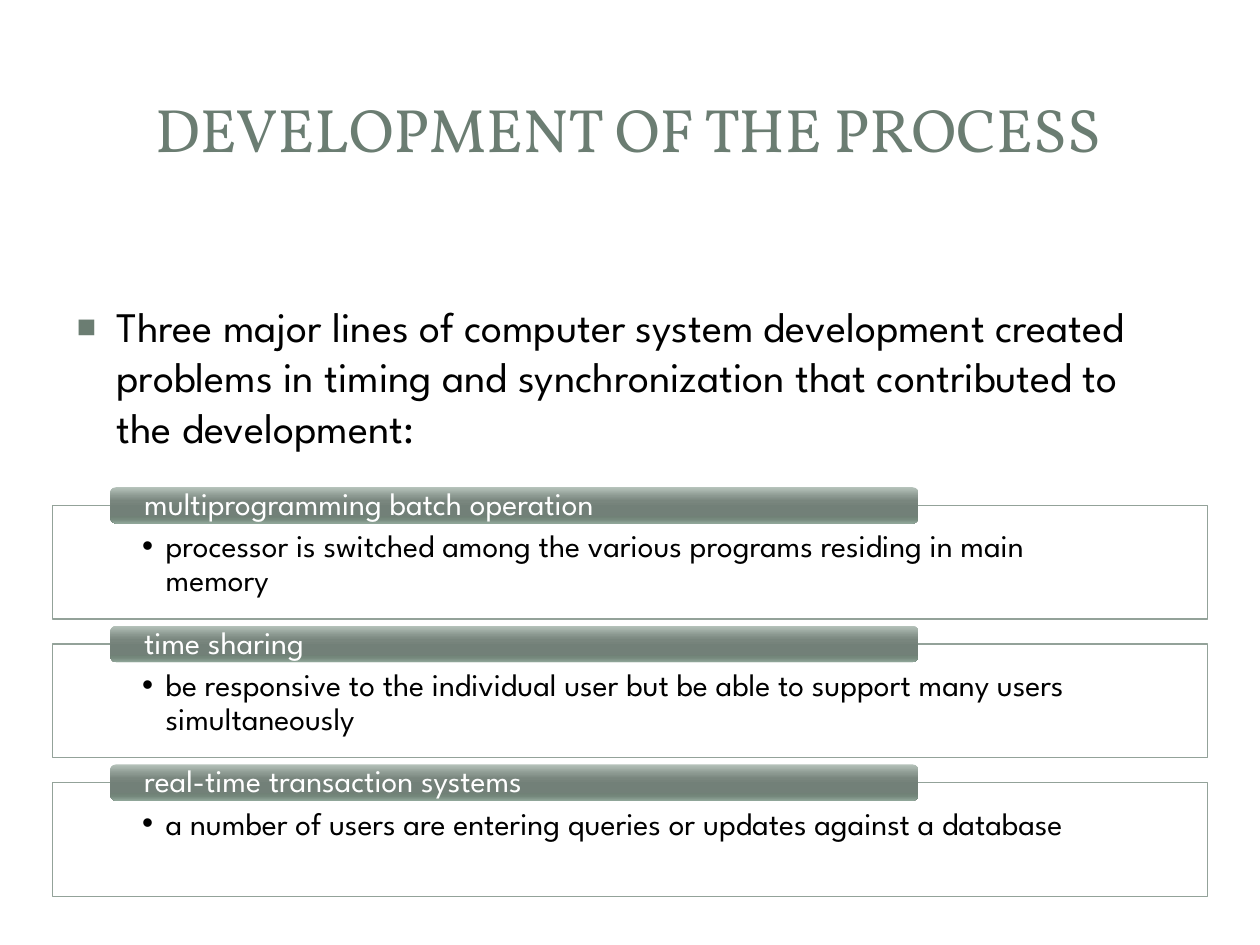
from lxml.etree import SubElement
from pptx import Presentation
from pptx.dml.color import RGBColor
from pptx.enum.shapes import MSO_SHAPE
from pptx.enum.text import MSO_ANCHOR, PP_ALIGN
from pptx.oxml.ns import qn
from pptx.util import Pt

SAGE = RGBColor(0x6B, 0x7D, 0x72)
OUTLINE = RGBColor(0x93, 0xA2, 0x99)
BLACK = RGBColor(0, 0, 0)
WHITE = RGBColor(0xFF, 0xFF, 0xFF)
TAB_STOPS = (
    (0, RGBColor(0xB6, 0xC3, 0xBB)),
    (25, RGBColor(0x8B, 0x98, 0x90)),
    (38, RGBColor(0x79, 0x86, 0x7E)),
    (55, RGBColor(0x72, 0x80, 0x78)),
    (80, RGBColor(0x70, 0x81, 0x76)),
    (88, RGBColor(0x75, 0x88, 0x7C)),
    (100, RGBColor(0x91, 0xA7, 0x9A)),
)
TITLE_FONT = "Vollkorn"
BODY_FONT = "League Spartan"

TOPICS = (
    ("multiprogramming batch operation",
     "processor is switched among the various programs residing in main memory"),
    ("time sharing",
     "be responsive to the individual user but be able to support many users simultaneously"),
    ("real-time transaction systems",
     "a number of users are entering queries or updates against a database"),
)
FIRST_TOP, PITCH, TAB_RISE = 288.8, 79.2, 10.4


class Deck:
    """Holds the style and the current slide, and draws each kind of element."""

    def __init__(self, s):
        self.s = s

    def fill_text(self, sp, text, size, color, font=BODY_FONT, insets=(7.2, 3.6, 7.2, 3.6),
                  anchor=MSO_ANCHOR.TOP, align=PP_ALIGN.LEFT, spacing=1.0):
        tf = sp.text_frame
        tf.word_wrap = True
        tf.vertical_anchor = anchor
        tf.margin_left, tf.margin_top, tf.margin_right, tf.margin_bottom = map(Pt, insets)
        tf.text = text
        p = tf.paragraphs[0]
        p.alignment = align
        p.line_spacing = spacing
        r = p.runs[0]
        r.font.size = Pt(size)
        r.font.name = font
        r.font.color.rgb = color
        return p

    def bullet(self, p, char, indent, color=BLACK, percent=100):
        pPr = p._p.get_or_add_pPr()
        pPr.set("marL", str(Pt(indent)))
        pPr.set("indent", str(-Pt(indent)))
        SubElement(SubElement(pPr, qn("a:buClr")), qn("a:srgbClr"), val=str(color))
        SubElement(pPr, qn("a:buSzPct"), val=str(percent * 1000))
        SubElement(pPr, qn("a:buFont"), typeface="Arial")
        SubElement(pPr, qn("a:buChar"), char=char)

    def shape(self, kind, box):
        sp = self.s.shapes.add_shape(kind, *map(Pt, box))
        sp.shadow.inherit = False
        return sp

    def text(self, box, text, size, color, **style):
        sp = self.s.shapes.add_textbox(*map(Pt, box))
        return self.fill_text(sp, text, size, color, **style)

    def panel(self, top, text):
        sp = self.shape(MSO_SHAPE.RECTANGLE, (30, top, 660, 65))
        sp.fill.solid()
        sp.fill.fore_color.rgb = WHITE
        sp.line.color.rgb = OUTLINE
        sp.line.width = Pt(0.75)
        p = self.fill_text(sp, text, 18, BLACK, insets=(51.2, 14.4, 51.2, 10), spacing=0.9)
        self.bullet(p, "•", 13.5)

    def tab(self, top, text):
        sp = self.shape(MSO_SHAPE.ROUNDED_RECTANGLE, (63, top, 461.8, 20.8))
        sp.line.fill.background()
        sp.fill.gradient()
        sp.fill.gradient_angle = 270
        stops = sp._element.spPr.find(qn("a:gradFill")).find(qn("a:gsLst"))
        stops.clear()
        for percent, color in TAB_STOPS:
            gs = SubElement(stops, qn("a:gs"), pos=str(percent * 1000))
            SubElement(gs, qn("a:srgbClr"), val=str(color))
        self.fill_text(sp, text, 18, WHITE, insets=(18.4, 0, 18.4, 0),
                       anchor=MSO_ANCHOR.MIDDLE, spacing=0.9)


def main():
    prs = Presentation()
    prs.slide_width, prs.slide_height = Pt(720), Pt(540)
    deck = Deck(prs.slides.add_slide(prs.slide_layouts[6]))

    deck.text((34, 32.4, 650, 82), "DEVELOPMENT OF THE PROCESS", 35, SAGE,
              font=TITLE_FONT, anchor=MSO_ANCHOR.MIDDLE, align=PP_ALIGN.CENTER)
    p = deck.text((36, 168, 642, 121),
                  "Three major lines of computer system development created problems in "
                  "timing and synchronization that contributed to the development:",
                  24, BLACK, insets=(7.2, 3.6, 16, 3.6))
    deck.bullet(p, "▪", 23.6, SAGE, 150)

    for i, (heading, detail) in enumerate(TOPICS):
        top = FIRST_TOP + i * PITCH
        deck.panel(top, detail)
        deck.tab(top - TAB_RISE, heading)

    prs.save("out.pptx")


if __name__ == "__main__":
    main()
